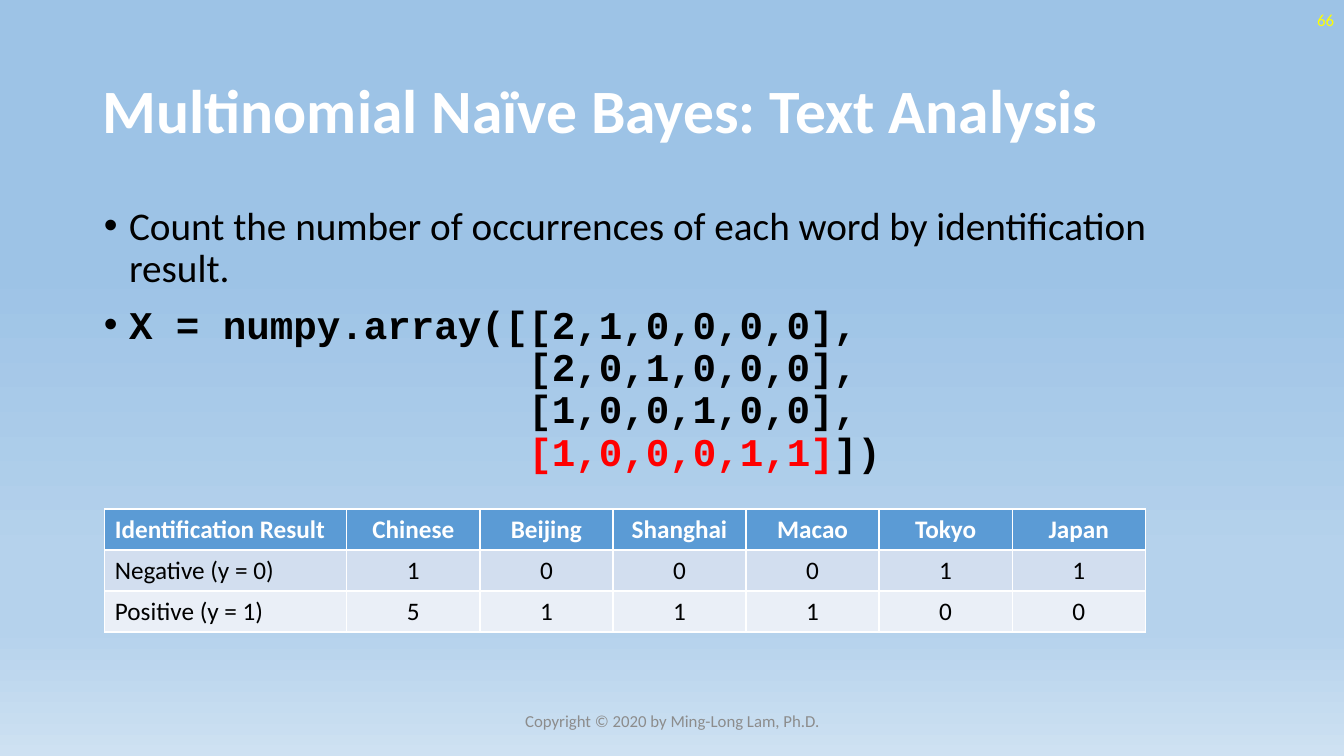
from copy import deepcopy
from pptx import Presentation
from pptx.dml.color import RGBColor
from pptx.enum.text import MSO_ANCHOR, MSO_AUTO_SIZE, PP_ALIGN
from pptx.oxml import parse_xml
from pptx.oxml.ns import nsdecls, qn
from pptx.util import Inches, Pt

# Content
TITLE = "Multinomial Naïve Bayes: Text Analysis"
POINT = "Count the number of occurrences of each word by identification result."
PAD = " " * 17
CODE = ["X = numpy.array([[2,1,0,0,0,0],", PAD + "[2,0,1,0,0,0],",
        PAD + "[1,0,0,1,0,0],", PAD]
LAST, CLOSE = "[1,0,0,0,1,1]", "])"
COUNTS = [
    ("Identification Result", "Chinese", "Beijing", "Shanghai", "Macao", "Tokyo", "Japan"),
    ("Negative (y = 0)", 1, 0, 0, 0, 1, 1),
    ("Positive (y = 1)", 5, 1, 1, 1, 0, 0),
]
FILLS = ["5B9BD5", "D2DEEF", "EAEFF7"]
STOPS = [(35, "9DC3E6"), (74, "B5D2EC"), (83, "B5D2EC"), (100, "CEE1F2")]
# text, box, alignment, colour
NOTES = [
    ("66", (10.33, 0, 3, 0.4), PP_ALIGN.RIGHT, "FFFF00"),
    ("Copyright © 2020 by Ming-Long Lam, Ph.D.", (4.42, 6.95, 4.5, 0.4),
     PP_ALIGN.CENTER, "8C8C8C"),
]


def color(code):
    return RGBColor.from_string(code)


def style(para, size, code, bold=False, face="Calibri"):
    for run in para.runs:
        font = run.font
        font.size, font.bold, font.name = Pt(size), bold, face
        font.color.rgb = color(code)


def place(shape, box):
    shape.left, shape.top, shape.width, shape.height = map(Inches, box)


deck = Presentation()
deck.slide_width, deck.slide_height = Inches(13.33), Inches(7.5)
slide = deck.slides.add_slide(deck.slide_layouts[1])

# Background gradient, top to bottom
fill = slide.background.fill
fill.gradient()
fill.gradient_angle = 270
stops = slide.background._cSld.find(".//" + qn("a:gsLst"))
for stop in list(stops):
    stops.remove(stop)
for pos, code in STOPS:
    stops.append(parse_xml(f'<a:gs {nsdecls("a")} pos="{pos * 1000}">'
                           f'<a:srgbClr val="{code}"/></a:gs>'))

# Title
title = slide.shapes.title
place(title, (0.92, 0.4, 11.5, 1.45))
frame = title.text_frame
frame.text = TITLE
frame.auto_size = MSO_AUTO_SIZE.NONE
frame.vertical_anchor = MSO_ANCHOR.MIDDLE
head = frame.paragraphs[0]
head.alignment, head.line_spacing = PP_ALIGN.LEFT, 0.9
style(head, 44, "FFFFFF", True)

# Bullets
body = slide.placeholders[1]
place(body, (0.93, 2, 11.5, 4.76))
frame = body.text_frame
frame.auto_size = MSO_AUTO_SIZE.NONE
frame.text = POINT
point, code = frame.paragraphs[0], frame.add_paragraph()
code.text = "\n".join(CODE)
for part in (LAST, CLOSE):
    code.add_run().text = part
for para, gap in ((point, 0), (code, 10)):
    para.line_spacing, para.space_before = 0.9, Pt(gap)
    props = para._p.get_or_add_pPr()
    props.set("marL", str(Inches(0.25)))
    props.set("indent", str(Inches(-0.25)))
style(point, 28, "000000")
style(code, 28, "000000", True, "Courier New")
for stop in code._p.findall(qn("a:br")):
    stop.append(deepcopy(code.runs[0]._r.rPr))
code.runs[-2].font.color.rgb = color("FF0000")

# Word counts
table = slide.shapes.add_table(
    len(COUNTS), len(COUNTS[0]),
    *map(Inches, (1.04, 5.05, 10.32, 1.22))).table
for i, col in enumerate(table.columns):
    col.width = Inches(1.32 if i else 2.4)
for r, row in enumerate(COUNTS):
    for c, value in enumerate(row):
        cell = table.cell(r, c)
        cell.text = str(value)
        cell.vertical_anchor = MSO_ANCHOR.MIDDLE
        cell.fill.solid()
        cell.fill.fore_color.rgb = color(FILLS[r])
        para = cell.text_frame.paragraphs[0]
        para.alignment = PP_ALIGN.CENTER if c else PP_ALIGN.LEFT
        style(para, 18, "000000" if r else "FFFFFF", r == 0)

# Slide number and footer
for text, box, align, code in NOTES:
    frame = slide.shapes.add_textbox(*map(Inches, box)).text_frame
    frame.word_wrap = True
    frame.vertical_anchor = MSO_ANCHOR.MIDDLE
    frame.text = text
    frame.paragraphs[0].alignment = align
    style(frame.paragraphs[0], 12, code)

deck.save("out.pptx")
